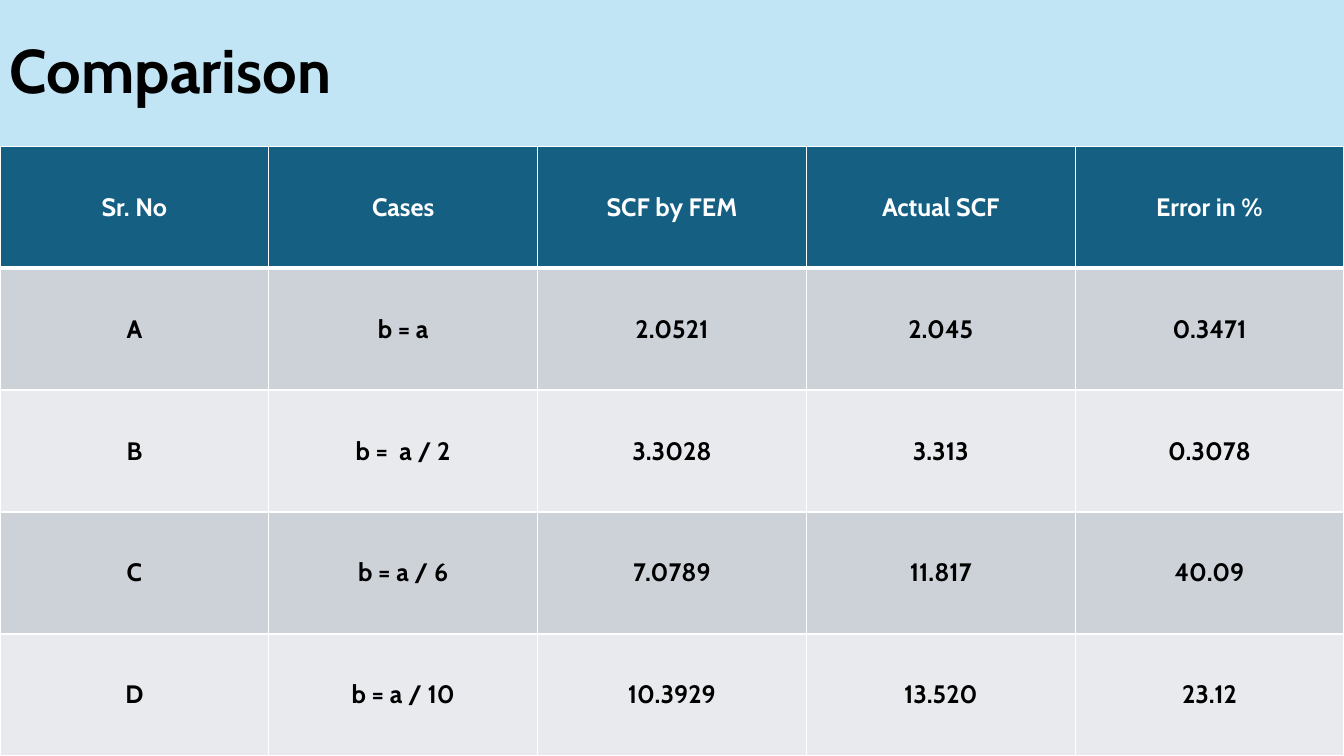
from lxml import etree
from pptx import Presentation
from pptx.dml.color import RGBColor
from pptx.enum.shapes import MSO_SHAPE
from pptx.enum.text import MSO_ANCHOR, PP_ALIGN
from pptx.oxml.ns import qn
from pptx.util import Inches, Pt

RECTANGLE = MSO_SHAPE.RECTANGLE
MIDDLE = MSO_ANCHOR.MIDDLE
LEFT, CENTER = PP_ALIGN.LEFT, PP_ALIGN.CENTER

WIDTH, HEIGHT, TITLE_HEIGHT = 13.33, 7.5, 1.45
BLACK, WHITE = "000000", "FFFFFF"
TITLE_FILL, HEADER_FILL = "C1E5F5", "156082"
BAND_FILLS = ("CCD2D8", "E8EAED")

COMPARISON = [
    ["Sr. No", "Cases", "SCF by FEM", "Actual SCF", "Error in %"],
    ["A", "b = a", "2.0521", "2.045", "0.3471"],
    ["B", "b =  a / 2", "3.3028", "3.313", "0.3078"],
    ["C", "b = a / 6", "7.0789", "11.817", "40.09"],
    ["D", "b = a / 10", "10.3929", "13.520", "23.12"],
]


def color(value):
    return RGBColor.from_string(value)


class SlideBuilder:
    """Holds the slide and the font shared by its elements."""

    def __init__(self, slide, font_name):
        self.slide = slide
        self.font_name = font_name

    def style_text(self, paragraph, size, text_color, alignment):
        paragraph.alignment = alignment
        for span in paragraph.runs:
            span.font.name = self.font_name
            span.font.size = Pt(size)
            span.font.bold = True
            span.font.color.rgb = color(text_color)

    def title(self, text, width, height):
        box = self.slide.shapes.add_shape(
            RECTANGLE, Inches(0), Inches(0), Inches(width), Inches(height))
        box.shadow.inherit = False
        box.fill.solid()
        box.fill.fore_color.rgb = color(TITLE_FILL)
        box.line.fill.background()
        frame = box.text_frame
        frame.word_wrap = True
        frame.vertical_anchor = MIDDLE
        frame.text = text
        frame.paragraphs[0].line_spacing = 0.9
        self.style_text(frame.paragraphs[0], 44, BLACK, LEFT)

    def borders(self, cell, top, bottom):
        """Draw white cell edges; top and bottom are widths in points."""
        properties = cell._tc.get_or_add_tcPr()
        for side, width in (("L", 1), ("R", 1), ("T", top), ("B", bottom)):
            line = etree.SubElement(
                properties, qn(f"a:ln{side}"), w=str(Pt(width)))
            fill = etree.SubElement(line, qn("a:solidFill"))
            etree.SubElement(fill, qn("a:srgbClr"), val=WHITE)

    def table(self, rows, top, width, height):
        frame = self.slide.shapes.add_table(
            len(rows), len(rows[0]), Inches(0), Inches(top),
            Inches(width), Inches(height))
        table = frame.table
        for column in table.columns:
            column.width = Inches(width / len(rows[0]))
        for row_index, values in enumerate(rows):
            table.rows[row_index].height = Inches(height / len(rows))
            is_header = row_index == 0
            fill = HEADER_FILL if is_header else BAND_FILLS[(row_index - 1) % 2]
            for column_index, value in enumerate(values):
                cell = table.cell(row_index, column_index)
                cell.text = value
                cell.vertical_anchor = MIDDLE
                self.style_text(cell.text_frame.paragraphs[0], 18,
                                WHITE if is_header else BLACK, CENTER)
                self.borders(cell, top=3 if row_index == 1 else 1,
                             bottom=3 if is_header else 1)
                cell.fill.solid()
                cell.fill.fore_color.rgb = color(fill)


def main():
    deck = Presentation()
    deck.slide_width = Inches(WIDTH)
    deck.slide_height = Inches(HEIGHT)
    page = SlideBuilder(deck.slides.add_slide(deck.slide_layouts[6]), "Cabin")
    page.title("Comparison", WIDTH, TITLE_HEIGHT)
    page.table(COMPARISON, TITLE_HEIGHT, WIDTH, HEIGHT - TITLE_HEIGHT)
    deck.save("out.pptx")


if __name__ == "__main__":
    main()
